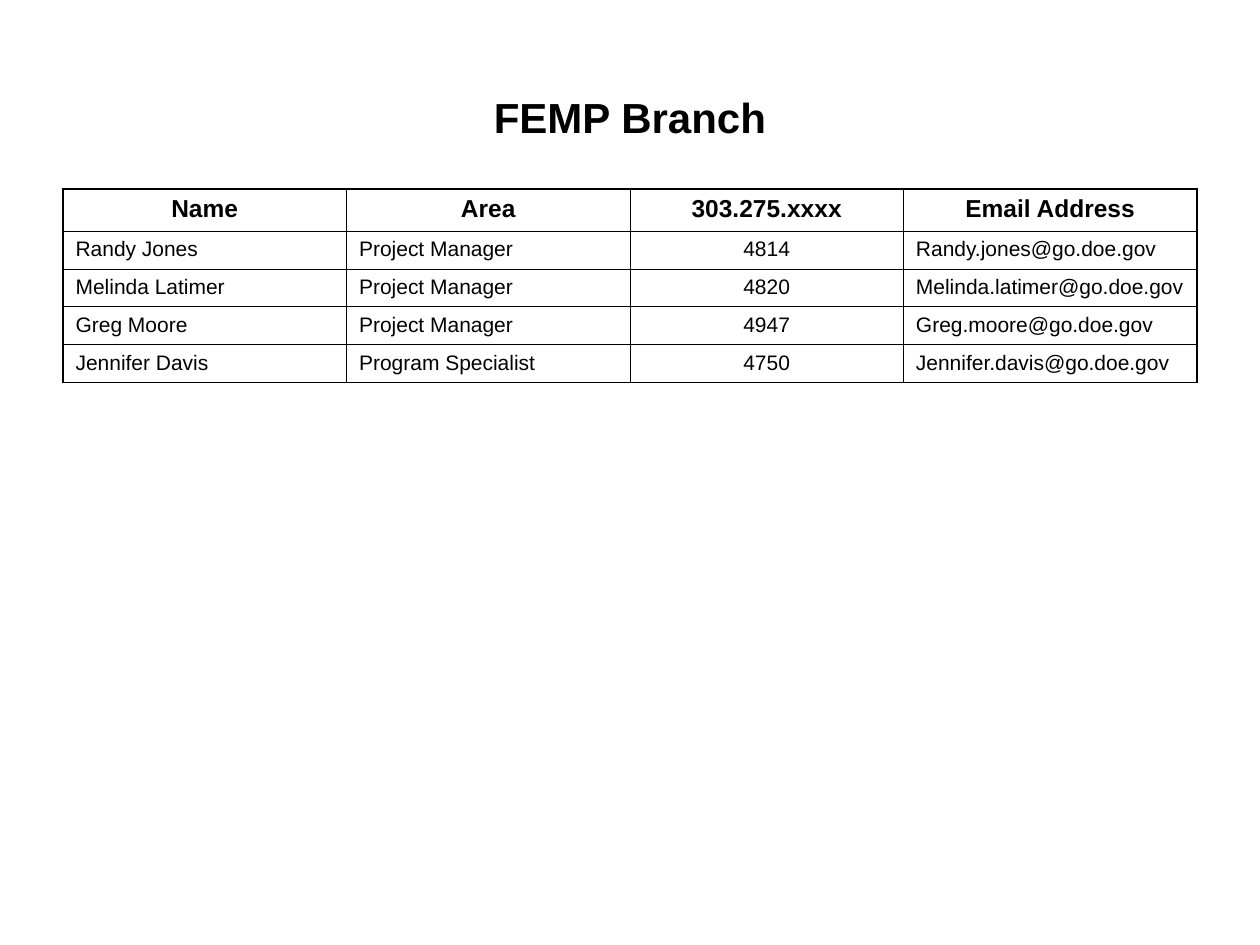
from lxml.etree import SubElement
from pptx import Presentation
from pptx.dml.color import RGBColor
from pptx.enum.text import MSO_ANCHOR, PP_ALIGN
from pptx.oxml.ns import qn
from pptx.util import Inches, Pt

# Content
TITLE = "FEMP Branch"
HEADINGS = ("Name", "Area", "303.275.xxxx", "Email Address")
STAFF = [
    ("Randy Jones", "Project Manager", "4814", "Randy.jones@go.doe.gov"),
    ("Melinda Latimer", "Project Manager", "4820", "Melinda.latimer@go.doe.gov"),
    ("Greg Moore", "Project Manager", "4947", "Greg.moore@go.doe.gov"),
    ("Jennifer Davis", "Program Specialist", "4750", "Jennifer.davis@go.doe.gov"),
]
PHONE_COLUMN = HEADINGS.index("303.275.xxxx")

# Layout, in inches
LEFT, WIDTH = 0.5, 9
TITLE_TOP, TITLE_HEIGHT = 0.3, 1.25
TABLE_TOP = 1.5
COLUMN_WIDTHS = (2.25, 2.25, 2.17, 2.33)
ROW_HEIGHTS = (0.33,) + (0.3,) * len(STAFF)

THEME = {
    "font": "Arial",
    "ink": "000000",
    "title": 24,
    "heading": 14,
    "body": 12,
    "outer_line": 1.08,
    "inner_line": 0.45,
}


def write(frame, words, size, bold=False, align=PP_ALIGN.LEFT):
    paragraph = frame.paragraphs[0]
    paragraph.alignment = align
    run = paragraph.add_run()
    run.text = words
    run.font.name = THEME["font"]
    run.font.size = Pt(size)
    run.font.bold = bold
    run.font.color.rgb = RGBColor.from_string(THEME["ink"])


def set_borders(cell, outer_sides):
    """Draw all four sides, heavier where the cell meets the table's edge."""
    properties = cell._tc.get_or_add_tcPr()
    for position, side in enumerate(("L", "R", "T", "B")):
        weight = THEME["outer_line" if side in outer_sides else "inner_line"]
        line = SubElement(properties, qn(f"a:ln{side}"), w=str(Pt(weight)))
        fill = SubElement(line, qn("a:solidFill"))
        SubElement(fill, qn("a:srgbClr"), val=THEME["ink"])
        # Borders come before the fill in the cell properties
        properties.insert(position, line)


def add_title(slide):
    box = slide.shapes.add_textbox(
        Inches(LEFT), Inches(TITLE_TOP), Inches(WIDTH), Inches(TITLE_HEIGHT))
    frame = box.text_frame
    frame.word_wrap = True
    frame.vertical_anchor = MSO_ANCHOR.MIDDLE
    write(frame, TITLE, THEME["title"], True, PP_ALIGN.CENTER)


def add_staff_table(slide):
    rows = [HEADINGS, *STAFF]
    last_row, last_column = len(rows) - 1, len(HEADINGS) - 1
    table = slide.shapes.add_table(
        len(rows), len(HEADINGS), Inches(LEFT), Inches(TABLE_TOP),
        Inches(WIDTH), Inches(sum(ROW_HEIGHTS))).table
    table.horz_banding = False
    for column, width in zip(table.columns, COLUMN_WIDTHS):
        column.width = Inches(width)
    for row, height in zip(table.rows, ROW_HEIGHTS):
        row.height = Inches(height)

    for r, entries in enumerate(rows):
        is_heading = r == 0
        for c, entry in enumerate(entries):
            cell = table.cell(r, c)
            cell.fill.background()
            centred = is_heading or c == PHONE_COLUMN
            write(cell.text_frame, entry,
                  THEME["heading" if is_heading else "body"], is_heading,
                  PP_ALIGN.CENTER if centred else PP_ALIGN.LEFT)
            edges = {"L": c == 0, "R": c == last_column,
                     "T": r == 0, "B": r == last_row}
            set_borders(cell, [side for side, outer in edges.items() if outer])


def main():
    deck = Presentation()
    deck.slide_width, deck.slide_height = Inches(10), Inches(7.5)
    slide = deck.slides.add_slide(deck.slide_layouts[6])
    add_title(slide)
    add_staff_table(slide)
    deck.save("out.pptx")


if __name__ == "__main__":
    main()
